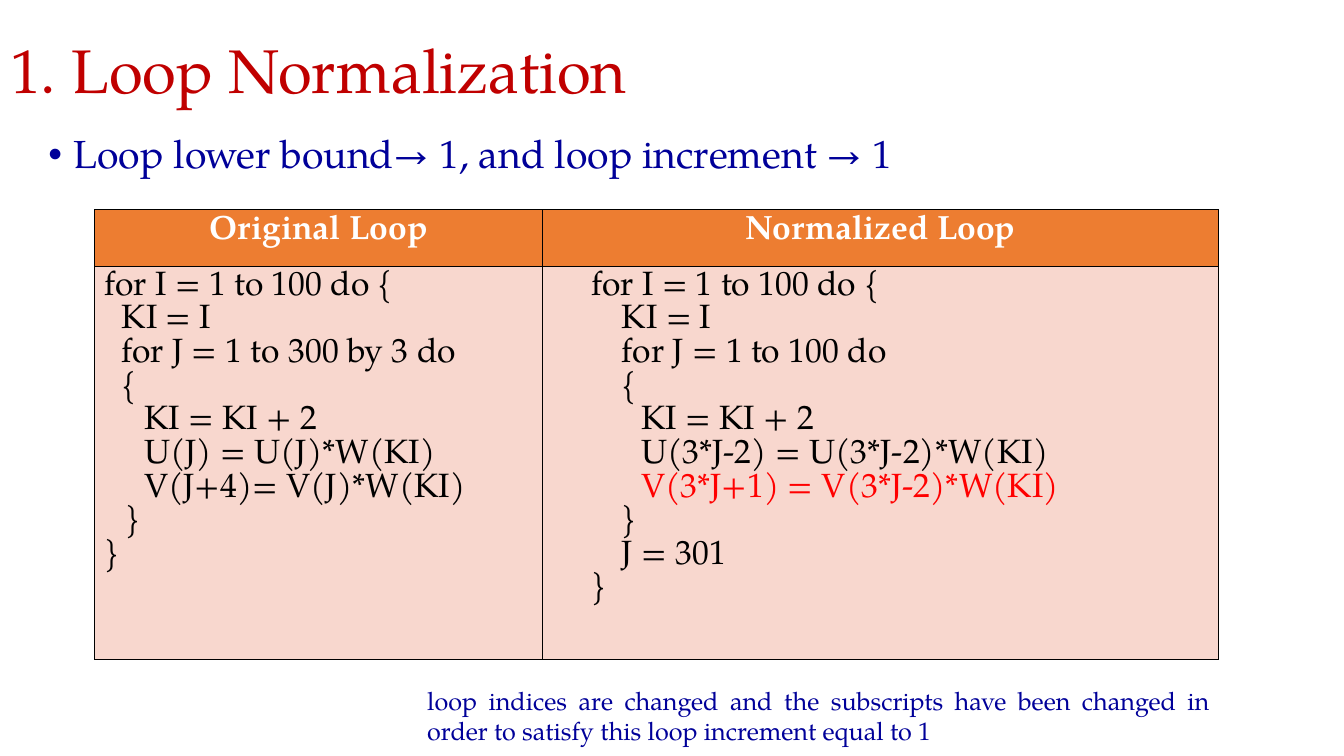
from lxml.etree import SubElement
from pptx import Presentation
from pptx.dml.color import RGBColor
from pptx.enum.text import MSO_ANCHOR as ANCHOR, MSO_AUTO_SIZE as AUTO, PP_ALIGN as ALIGN
from pptx.oxml.ns import qn
from pptx.util import Pt

NAVY, BLACK, RED = "000099", "000000", "FF0000"
HEADERS = ["Original Loop", "Normalized Loop"]
ORIGINAL = [
    (0, "for I = 1 to 100 do {"),
    (0, "  KI = I"),
    (0, "  for J = 1 to 300 by 3 do"),
    (0, "  {"),
    (28, "KI = KI + 2"),
    (28, "U(J) = U(J)*W(KI)"),
    (28, "V(J+4)= V(J)*W(KI)"),
    (14.4, "}"),
    (0, "}"),
]
NORMALIZED = [
    (28, "for I = 1 to 100 do {"),
    (49.7, "KI = I"),
    (49.7, "for J = 1 to 100 do"),
    (49.7, "{"),
    (63.4, "KI = KI + 2"),
    (63.4, "U(3*J-2) = U(3*J-2)*W(KI)"),
    (63.4, "V(3*J+1) = V(3*J-2)*W(KI)", RED),
    (49.7, "}"),
    (49.7, "J = 301"),
    (28, "}"),
]


def rgb(value):
    return RGBColor.from_string(value)


def write(p, text, size=24, color=BLACK, bold=False, align=ALIGN.LEFT,
          spacing=None, margin=0, indent=0, bullet=None):
    p.alignment = align
    p.space_before = Pt(0)
    if spacing:
        p.line_spacing = spacing
    pPr = p._p.get_or_add_pPr()
    pPr.set("marL", str(Pt(margin)))
    pPr.set("indent", str(Pt(indent)))
    if bullet:
        SubElement(pPr, qn("a:buFont")).set("typeface", "Arial")
        SubElement(pPr, qn("a:buChar")).set("char", bullet)
    r = p.add_run()
    r.text = text
    r.font.name, r.font.size, r.font.bold = "TeX Gyre Pagella", Pt(size), bold
    r.font.color.rgb = rgb(color)


class Deck:
    """Holds the style and the current slide, and adds its elements in points."""

    def __init__(self, prs):
        self.s = prs.slides.add_slide(prs.slide_layouts[1])

    def placeholder(self, idx, box, text, anchor=ANCHOR.TOP, **style):
        sp = self.s.placeholders[idx]
        sp.left, sp.top, sp.width, sp.height = map(Pt, box)
        tf = sp.text_frame
        tf.auto_size, tf.vertical_anchor = AUTO.NONE, anchor
        write(tf.paragraphs[0], text, **style)

    def textbox(self, box, text, **style):
        tf = self.s.shapes.add_textbox(*map(Pt, box)).text_frame
        tf.word_wrap = True
        write(tf.paragraphs[0], text, **style)

    def cell(self, cell, lines, fill, **style):
        tcPr = cell._tc.get_or_add_tcPr()
        for side in ("lnL", "lnR", "lnT", "lnB"):
            ln = SubElement(tcPr, qn(f"a:{side}"), w=str(Pt(1)))
            SubElement(SubElement(ln, qn("a:solidFill")), qn("a:srgbClr"), val=BLACK)
        cell.fill.solid()
        cell.fill.fore_color.rgb = rgb(fill)
        tf = cell.text_frame
        for i, (indent, text, *color) in enumerate(lines):
            p = tf.add_paragraph() if i else tf.paragraphs[0]
            look = dict(style, color=color[0]) if color else style
            write(p, text, indent=indent, spacing=Pt(24), **look)

    def table(self, left, top, widths, heights, headers, bodies):
        size = map(Pt, (left, top, sum(widths), sum(heights)))
        table = self.s.shapes.add_table(len(heights), len(widths), *size).table
        table.horz_banding = False
        for row, height in zip(table.rows, heights):
            row.height = Pt(height)
        for i, (width, header, body) in enumerate(zip(widths, headers, bodies)):
            table.columns[i].width = Pt(width)
            self.cell(table.cell(0, i), [(0, header)], "ED7D31",
                      color="FFFFFF", bold=True, align=ALIGN.CENTER)
            self.cell(table.cell(1, i), body, "F8D7CE")


def main():
    prs = Presentation()
    prs.slide_width, prs.slide_height = Pt(960), Pt(540)
    deck = Deck(prs)
    deck.placeholder(0, (0, 0, 828, 104.4), "1. Loop Normalization", ANCHOR.MIDDLE,
                     size=44, color="C00000", spacing=0.9)
    deck.placeholder(1, (27.4, 92.9, 905, 407.5),
                     "Loop lower bound→ 1, and loop increment → 1", size=28, color=NAVY,
                     align=ALIGN.JUSTIFY, spacing=0.9, margin=18, indent=-18, bullet="•")
    deck.table(67.7, 149.8, (319.7, 483.1), (40.3, 280.8), HEADERS, (ORIGINAL, NORMALIZED))
    deck.textbox((298.1, 486, 573.1, 51.1),
                 "loop indices are changed and the subscripts have been changed in "
                 "order to satisfy this loop increment equal to 1",
                 size=18, color=NAVY, align=ALIGN.JUSTIFY)
    prs.save("out.pptx")


if __name__ == "__main__":
    main()
